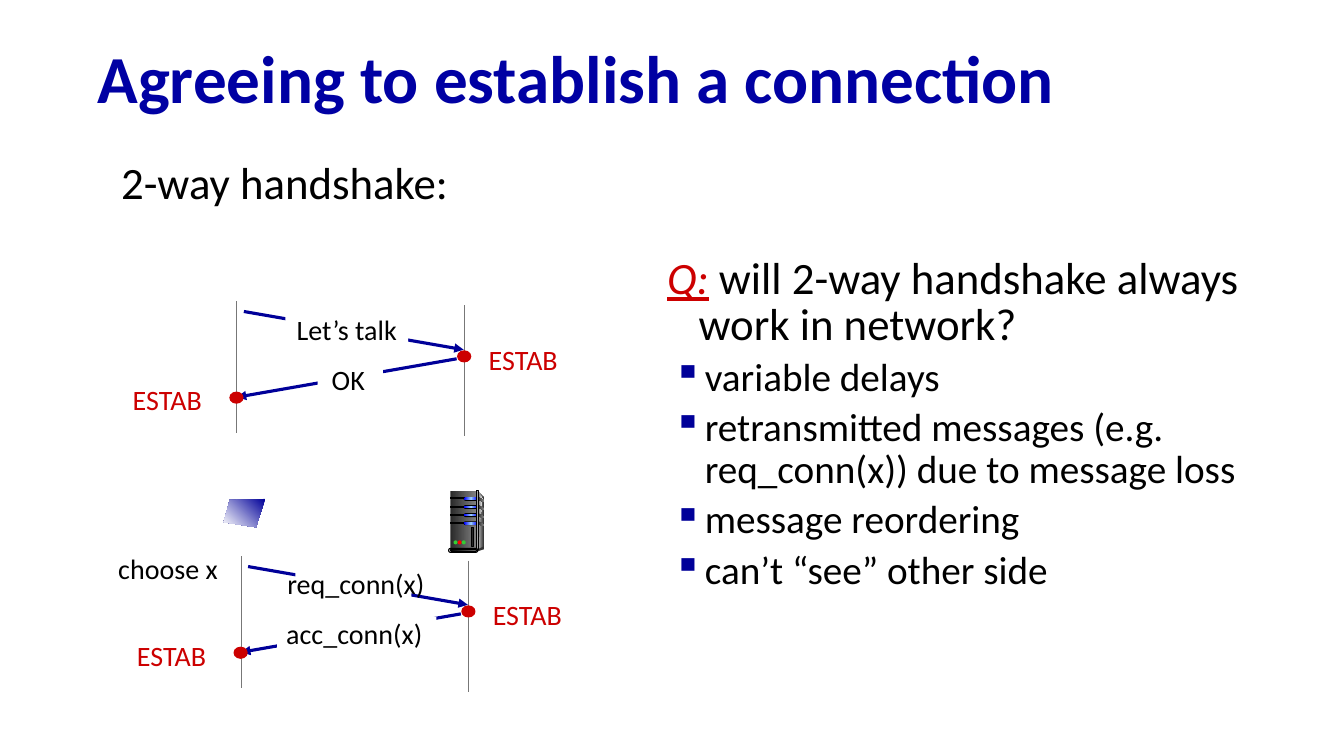
from copy import deepcopy

from lxml.etree import SubElement
from pptx import Presentation
from pptx.dml.color import RGBColor
from pptx.enum.shapes import MSO_CONNECTOR, MSO_SHAPE
from pptx.enum.text import MSO_ANCHOR, PP_ALIGN
from pptx.oxml.ns import qn
from pptx.util import Pt

FONT = "Calibri"
NAVY, RED, BLACK, WHITE, GREY = "000099", "CC0000", "000000", "FFFFFF", "777777"

presentation = Presentation()
presentation.slide_width = Pt(960)
presentation.slide_height = Pt(540)
slide = presentation.slides.add_slide(presentation.slide_layouts[6])


def paint(shape, colours, outline=None, angle=0):
    shape.shadow.inherit = False
    if len(colours) == 1:
        shape.fill.solid()
        shape.fill.fore_color.rgb = RGBColor.from_string(colours[0])
    else:
        shape.fill.gradient()
        shape.fill.gradient_angle = angle
        first_stop = shape.fill.gradient_stops[0]._gs
        for _ in colours[2:]:
            first_stop.addnext(deepcopy(first_stop))
        for index, stop in enumerate(shape.fill.gradient_stops):
            stop.color.rgb = RGBColor.from_string(colours[index])
            stop.position = index / (len(colours) - 1)
    if outline:
        shape.line.color.rgb = RGBColor.from_string(outline)
        shape.line.width = Pt(0.75)
    else:
        shape.line.fill.background()


def add_text(text, box, size=20, colour=BLACK, align=PP_ALIGN.CENTER):
    shape = slide.shapes.add_textbox(*map(Pt, box))
    shape.text_frame.word_wrap = False
    paragraph = shape.text_frame.paragraphs[0]
    paragraph.alignment = align
    run = paragraph.add_run()
    run.text = text
    run.font.name = FONT
    run.font.size = Pt(size)
    run.font.color.rgb = RGBColor.from_string(colour)
    return shape


title = add_text("Agreeing to establish a connection", (62.6, 23, 897, 70.6), 48, "0000A3", PP_ALIGN.LEFT)
title.text_frame.word_wrap = True
title.text_frame.vertical_anchor = MSO_ANCHOR.MIDDLE
title.text_frame.paragraphs[0].line_spacing = 0.9
title.text_frame.paragraphs[0].runs[0].font.bold = True
add_text("2-way handshake:", (77, 106.6, 252.7, 46), 32)

question_frame = slide.shapes.add_textbox(Pt(469.4), Pt(180.7), Pt(434.9), Pt(281.5)).text_frame
question_frame.word_wrap = True
question_lines = [
    ["Q:", " will 2-way handshake always work in network?"],
    ["variable delays"],
    ["retransmitted messages (e.g. req_conn(x)) due to message loss"],
    ["message reordering"],
    ["can’t “see” other side"],
]
for index, texts in enumerate(question_lines):
    paragraph = question_frame.paragraphs[0] if index == 0 else question_frame.add_paragraph()
    properties = paragraph._p.get_or_add_pPr()
    properties.set("marL", str(Pt(27 if index else 22.5)))
    properties.set("indent", str(-Pt(22.5)))
    if index:
        bullet_colour = SubElement(properties, qn("a:buClr"))
        SubElement(bullet_colour, qn("a:srgbClr"), val=NAVY)
        SubElement(properties, qn("a:buChar"), char="▪")
        paragraph.space_before = Pt(5.6)
    paragraph.line_spacing = 0.9 if index else 0.85
    for text in texts:
        run = paragraph.add_run()
        run.text = text
        run.font.name = FONT
        run.font.size = Pt(28 if index else 32)
        is_marker = text == "Q:"
        run.font.italic = is_marker
        run.font.underline = is_marker
        run.font.color.rgb = RGBColor.from_string(RED if is_marker else BLACK)

lines = [
    (174.2, 222.5, 331.2, 249.8, NAVY),
    (169.2, 215.3, 169.2, 309.6, GREY),
    (331.9, 218.2, 331.9, 311.8, GREY),
    (326.2, 256.3, 169.2, 283.7, NAVY),
]
handshakes = [
    (0, 0, [
        ("Let’s talk", (203.8, 219.6, 87.8, 31.7), (203.8, 219.6, 87.8, 31.7)),
        ("OK", (226.8, 257.8, 46.8, 28.1), (229.7, 255.6, 38.2, 31.7)),
    ]),
    (3, 182.2, [
        ("req_conn(x)", (211, 403.9, 82.8, 28.1), (197.3, 401, 113.8, 31.7)),
        ("acc_conn(x)", (198, 440.6, 113.8, 22.3), (196.6, 437, 113, 31.7)),
    ]),
]
for shift_x, shift_y, messages in handshakes:
    for x1, y1, x2, y2, colour in lines:
        connector = slide.shapes.add_connector(
            MSO_CONNECTOR.STRAIGHT,
            Pt(x1 + shift_x), Pt(y1 + shift_y), Pt(x2 + shift_x), Pt(y2 + shift_y),
        )
        connector.line.color.rgb = RGBColor.from_string(colour)
        connector.line.width = Pt(2.25 if colour == NAVY else 0.75)
        if colour == NAVY:
            SubElement(connector.line._get_or_add_ln(), qn("a:tailEnd"), type="triangle")
        SubElement(connector._element.spPr, qn("a:effectLst"))
    for text, gap, box in messages:
        paint(slide.shapes.add_shape(MSO_SHAPE.RECTANGLE, *map(Pt, gap)), [WHITE])
        add_text(text, box)
    for label_x, label_y, dot_x, dot_y in [(340.6, 241.2, 326.9, 250.6), (86.4, 270, 164.2, 280.1)]:
        add_text("ESTAB", (label_x + shift_x, label_y + shift_y, 66.2, 31.7), colour=RED)
        dot = slide.shapes.add_shape(
            MSO_SHAPE.OVAL, Pt(dot_x + shift_x), Pt(dot_y + shift_y), Pt(9.4), Pt(7.9)
        )
        paint(dot, [RED], RED)
add_text("choose x", (76.3, 390.2, 86.4, 55.4), align=PP_ALIGN.RIGHT)

server = slide.shapes.add_group_shape()
dark_metal = ["292929", "808080"]
blue_light = ["0000FF", "99CCFF", "0000FF"]
slot_tops = [355 + 5.8 * index for index in range(4)]
outlines = [
    (slide, [(189.4, 356.4), (164.2, 357.1), (159.8, 373), (182.9, 376.6)], [NAVY, WHITE], 225),
    (server, [(341.3, 350.6), (345.6, 355.7), (345.6, 391), (340.6, 392.4)], ["DDDDDD", "333333"], 0),
    (server, [(342, 352.8), (344.9, 356.4), (342.4, 374), (342, 391)], ["808080", "F8F8F8"], 0),
    (server, [(341.3, 392.4), (341.3, 393.8), (345.6, 392.4), (345.6, 390.2)], ["333333"], 0),
]
for top in slot_tops:
    vent = [(341.3, top), (345.6, top + 2.2), (345.6, top + 3.6), (341.3, top + 1.8)]
    outlines.append((server, vent, dark_metal, 0))
for parent, points, colours, angle in outlines:
    corners = [(Pt(x), Pt(y)) for x, y in points]
    builder = parent.shapes.build_freeform(*corners[0], scale=1)
    builder.add_line_segments(corners[1:], close=True)
    paint(builder.convert_to_shape(), colours, angle=angle)

RECTANGLE, PILL, OVAL = MSO_SHAPE.RECTANGLE, MSO_SHAPE.ROUNDED_RECTANGLE, MSO_SHAPE.OVAL
server_parts = [(RECTANGLE, (321.8, 350.6, 18.7, 41.8), dark_metal, None)]
for top in slot_tops:
    server_parts += [
        (RECTANGLE, (321.8, top + 0.7, 10.4, 0.7), [BLACK], BLACK),
        (PILL, (331.2, top, 10.1, 2.7), [BLACK], None),
        (PILL, (331.6, top + 0.3, 9.6, 2), blue_light, None),
    ]
server_parts += [
    (RECTANGLE, (340.6, 350.6, 1.4, 41.8), ["333333", "DDDDDD", "333333"], BLACK),
    (PILL, (320.4, 391.7, 20.9, 2.9), ["DDDDDD"], BLACK),
    (PILL, (321.8, 392.4, 18.7, 1.4), [BLACK, "808080"], BLACK),
    (RECTANGLE, (337, 376.6, 1.4, 13.7), ["292929"], BLACK),
]
for index, colour in enumerate(["33CC33", "FF0000", "33CC33"]):
    server_parts.append((OVAL, (324 + 2.9 * index, 386, 2.9, 2.9), [colour], None))
for kind, box, colours, outline in server_parts:
    part = server.shapes.add_shape(kind, *map(Pt, box))
    if kind == PILL:
        part.adjustments[0] = 0.5
    paint(part, colours, outline)

presentation.save("out.pptx")
